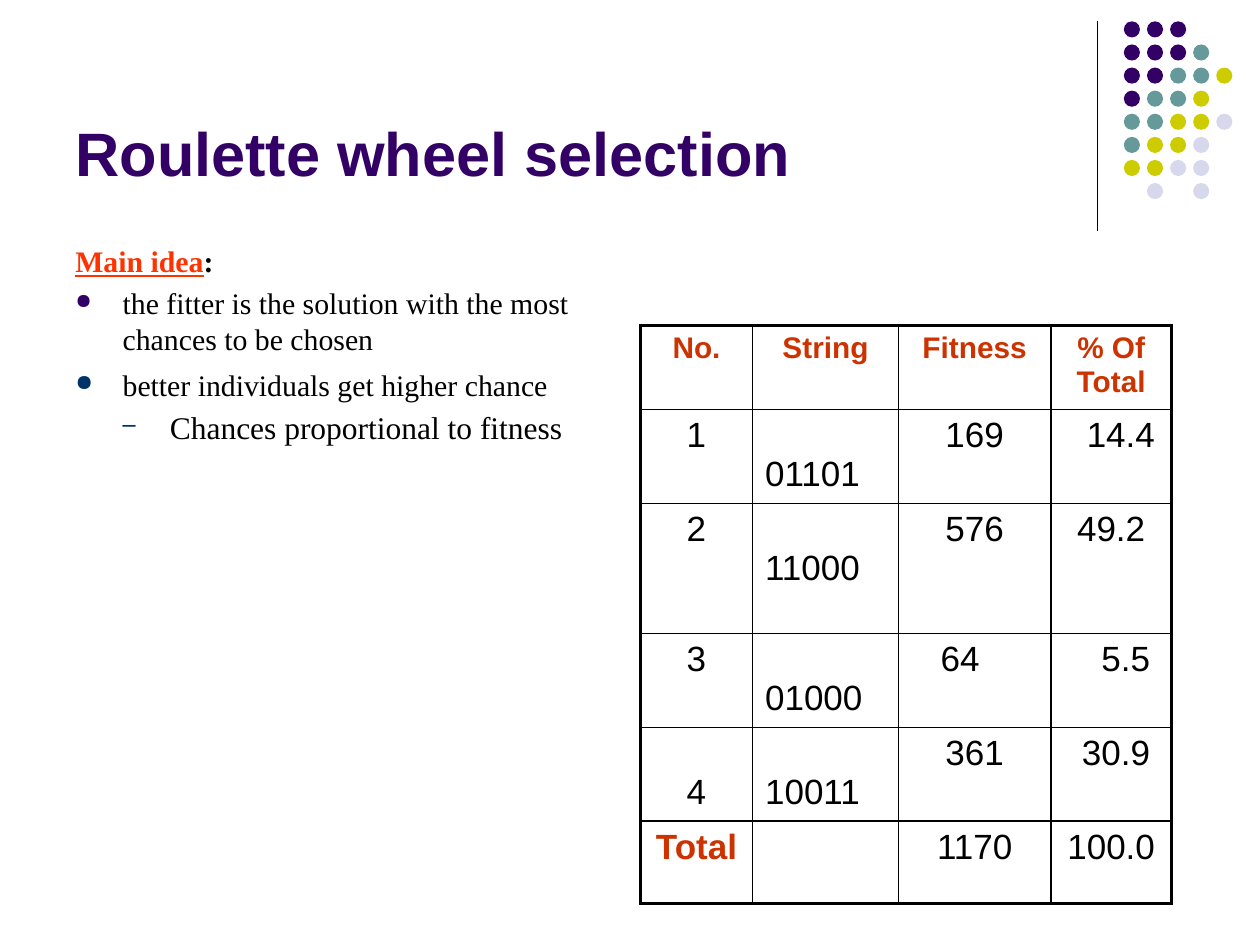
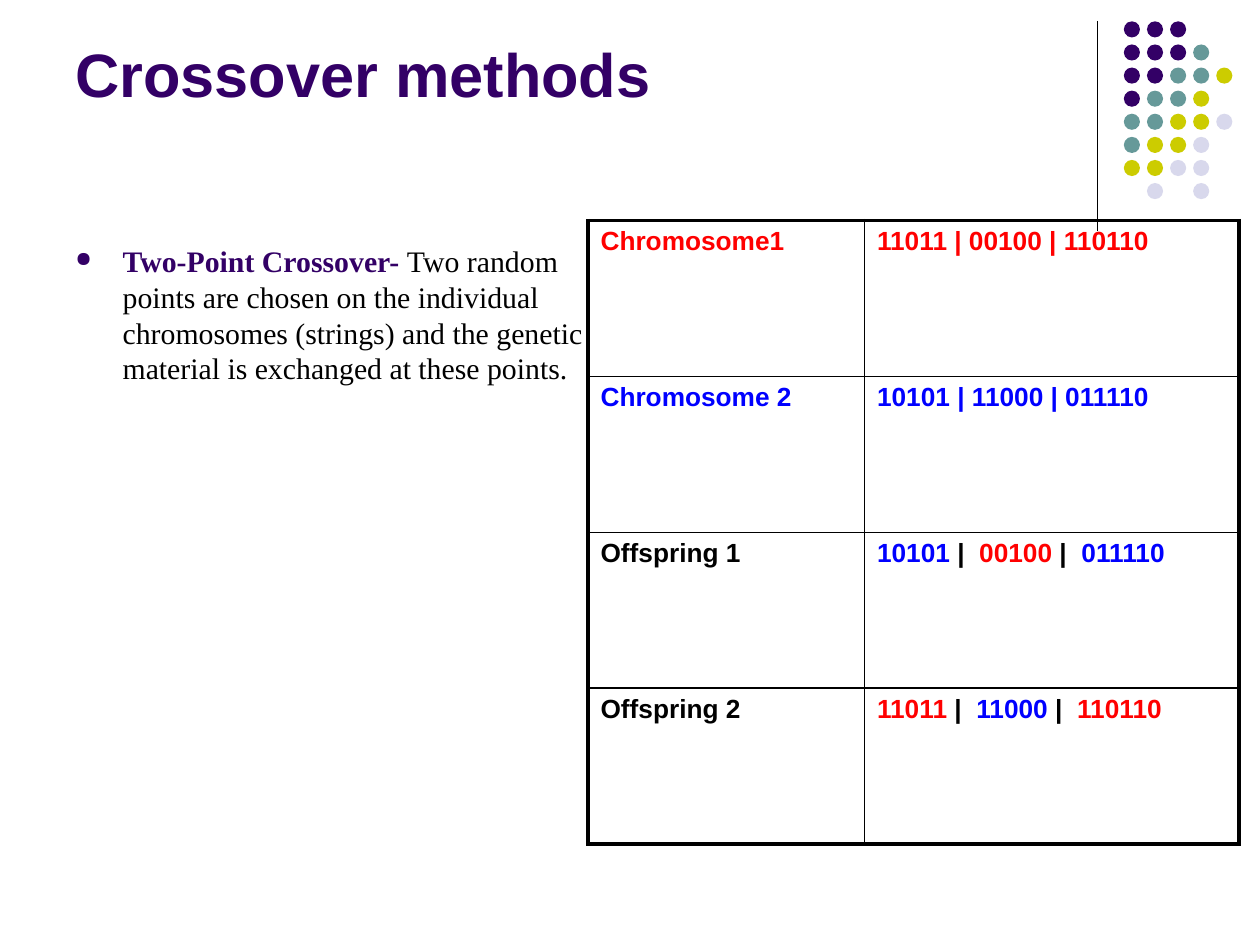
from dataclasses import dataclass

from lxml import etree
from pptx import Presentation
from pptx.dml.color import RGBColor
from pptx.enum.shapes import MSO_CONNECTOR, MSO_SHAPE
from pptx.enum.text import MSO_ANCHOR, PP_ALIGN
from pptx.oxml.ns import qn
from pptx.util import Pt

STRAIGHT = MSO_CONNECTOR.STRAIGHT
OVAL = MSO_SHAPE.OVAL
TOP, BOTTOM = MSO_ANCHOR.TOP, MSO_ANCHOR.BOTTOM
LEFT, CENTER = PP_ALIGN.LEFT, PP_ALIGN.CENTER


@dataclass(frozen=True)
class Theme:
    purple: str = "330066"
    teal: str = "669999"
    lime: str = "CCCC00"
    lilac: str = "D8D8EC"
    navy: str = "003366"
    black: str = "000000"
    orange: str = "FF3300"
    rust: str = "CC3300"
    red: str = "FF0000"
    blue: str = "0000FF"
    sans: str = "Arial"
    serif: str = "Times New Roman"
    title_size: float = 35
    body_size: float = 17
    sub_size: float = 18
    figure_size: float = 20
    gene_size: float = 15
    thin: float = 1
    thick: float = 2.25


THEME = Theme()

DOT_ROWS = ("PPP", "PPPT", "PPTTL", "PTTL", "TTLLV", "TLLV", "LLVV", " V V")
DOT_COLOURS = {"P": THEME.purple, "T": THEME.teal, "L": THEME.lime, "V": THEME.lilac}


@dataclass
class Cell:
    runs: list
    align: object = LEFT
    drop: float = 0
    shift: float = 0


def add_text(paragraph, text, *, size, font=THEME.sans, color=THEME.black,
             bold=False, underline=False, spacing=0):
    run = paragraph.add_run()
    run.text = text
    run.font.size = Pt(size)
    run.font.name = font
    run.font.bold = bold
    run.font.underline = underline
    run.font.color.rgb = RGBColor.from_string(color)
    if spacing:
        run.font._element.set("spc", str(round(spacing * 100)))


class Deck:
    def __init__(self, theme):
        self.theme = theme
        self.prs = Presentation()
        self.prs.slide_width = Pt(720)
        self.prs.slide_height = Pt(540)
        self.slide = None

    def new_slide(self, title, title_height):
        self.slide = self.prs.slides.add_slide(self.prs.slide_layouts[6])
        self.divider()
        self.dots()
        frame = self.text_box(36, 9.4, 594, title_height, BOTTOM)
        add_text(frame.paragraphs[0], title, size=self.theme.title_size,
                 color=self.theme.purple, bold=True)

    def divider(self):
        line = self.slide.shapes.add_connector(
            STRAIGHT, Pt(627), Pt(12), Pt(627), Pt(132))
        line.line.width = Pt(0.75)
        line.line.color.rgb = RGBColor.from_string(self.theme.black)
        etree.SubElement(line._element.spPr, qn("a:effectLst"))

    def dots(self):
        group = self.slide.shapes.add_group_shape()
        pitch, diameter = 13.2, 9.2
        for row, pattern in enumerate(DOT_ROWS):
            for column, code in enumerate(pattern):
                if code not in DOT_COLOURS:
                    continue
                dot = group.shapes.add_shape(
                    OVAL, Pt(642.2 + column * pitch), Pt(12.2 + row * pitch),
                    Pt(diameter), Pt(diameter))
                dot.shadow.inherit = False
                dot.fill.solid()
                dot.fill.fore_color.rgb = RGBColor.from_string(DOT_COLOURS[code])
                dot.line.fill.background()

    def text_box(self, left, top, width, height, anchor=TOP):
        box = self.slide.shapes.add_textbox(Pt(left), Pt(top), Pt(width), Pt(height))
        box.text_frame.word_wrap = True
        box.text_frame.vertical_anchor = anchor
        return box.text_frame

    def body(self):
        return self.text_box(36, 135.4, 318, 347)

    def body_line(self, frame, runs, *, size=THEME.body_size, before=3.4, level=0,
                  bullet=None, bullet_color=THEME.purple, bullet_percent=70):
        first = frame.paragraphs[0]
        paragraph = frame.add_paragraph() if first.runs else first
        paragraph.level = level
        paragraph.space_before = Pt(before)
        paragraph.line_spacing = Pt(size * 1.2)
        properties = paragraph._p.get_or_add_pPr()
        properties.set("marL", str(Pt(27 * (level + 1))))
        properties.set("indent", str(Pt(-27)))
        if bullet:
            color = etree.SubElement(properties, qn("a:buClr"))
            etree.SubElement(color, qn("a:srgbClr"), val=bullet_color)
            etree.SubElement(properties, qn("a:buSzPct"), val=str(bullet_percent * 1000))
            etree.SubElement(properties, qn("a:buChar"), char=bullet)
        else:
            etree.SubElement(properties, qn("a:buNone"))
        for text, style in runs:
            add_text(paragraph, text, size=size, font=self.theme.serif, **style)

    def table(self, left, top, widths, heights, rows):
        table = self.slide.shapes.add_table(
            len(heights), len(widths), Pt(left), Pt(top),
            Pt(sum(widths)), Pt(sum(heights))).table
        table.first_row = table.horz_banding = False
        for column, width in zip(table.columns, widths):
            column.width = Pt(width)
        for row, height in zip(table.rows, heights):
            row.height = Pt(height)
        last_row, last_column = len(heights) - 1, len(widths) - 1
        for r, row in enumerate(rows):
            for c, content in enumerate(row):
                cell = table.cell(r, c)
                outer = {"L": c == 0, "R": c == last_column,
                         "T": r == 0, "B": r == last_row}
                self.borders(cell, outer)
                cell.fill.background()
                self.fill_cell(cell, content)

    def borders(self, cell, outer):
        properties = cell._tc.get_or_add_tcPr()
        for side, is_outer in outer.items():
            width = self.theme.thick if is_outer else self.theme.thin
            line = etree.SubElement(properties, qn(f"a:ln{side}"), w=str(Pt(width)))
            fill = etree.SubElement(line, qn("a:solidFill"))
            etree.SubElement(fill, qn("a:srgbClr"), val=self.theme.black)

    def fill_cell(self, cell, content):
        cell.margin_top = Pt(3.6 + content.drop)
        cell.margin_left = Pt(7.2 + max(content.shift, 0))
        cell.margin_right = Pt(7.2 + max(-content.shift, 0))
        paragraph = cell.text_frame.paragraphs[0]
        paragraph.alignment = content.align
        for text, style in content.runs:
            add_text(paragraph, text, **style)


def heading(text, size=THEME.body_size):
    return Cell([(text, dict(size=size, color=THEME.rust, bold=True))], CENTER)


def figure(text, align=CENTER, drop=0, shift=0):
    return Cell([(text, dict(size=THEME.figure_size))], align, drop, shift)


def gene(text, color):
    return text, dict(size=THEME.gene_size, color=color, bold=True)


def offspring_genes(*segments):
    runs = []
    for text, color in segments:
        if runs:
            space, style = gene(" ", THEME.black)
            runs += [gene(" |", THEME.black), (space, dict(style, spacing=4.17))]
        runs.append(gene(text, color))
    return Cell(runs)


def roulette_slide(deck):
    deck.new_slide("Roulette wheel selection", 102.2)
    body = deck.body()
    deck.body_line(body, [
        ("Main idea", dict(color=THEME.orange, bold=True, underline=True)),
        (":", dict(bold=True))])
    deck.body_line(
        body, [("the fitter is the solution with the most chances to be chosen", {})],
        bullet="●")
    deck.body_line(body, [("better individuals get higher chance", {})], before=6,
                   bullet="●", bullet_color=THEME.navy, bullet_percent=75)
    deck.body_line(body, [("Chances proportional to fitness", {})],
                   size=THEME.sub_size, level=1, bullet="–",
                   bullet_color=THEME.navy, bullet_percent=75)

    second_line = 22.4
    individuals = [
        ("1", "01101", "169", "14.4", 0, 0, 11.1),
        ("2", "11000", "576", "49.2", 0, 0, 0),
        ("3", "01000", "64", "5.5", 0, -16.7, 16.7),
        ("4", "10011", "361", "30.9", second_line, 0, 5.6),
    ]
    rows = [[heading(text) for text in ("No.", "String", "Fitness", "% Of Total")]]
    for number, string, fitness, share, drop, fitness_shift, share_shift in individuals:
        rows.append([
            figure(number, drop=drop),
            figure(string, LEFT, drop=second_line),
            figure(fitness, shift=fitness_shift),
            figure(share, shift=share_shift)])
    rows.append([heading("Total", THEME.figure_size), Cell([]),
                 figure("1170"), figure("100.0")])
    deck.table(366, 186, [64, 83.5, 87, 69], [47, 51.6, 74.3, 51.6, 51.8, 47], rows)


def crossover_slide(deck):
    deck.new_slide("Crossover methods", 56.9)
    deck.body_line(deck.body(), [
        ("Two-Point Crossover- ", dict(color=THEME.purple, bold=True)),
        ("Two random points are chosen on the individual chromosomes (strings) "
         "and the genetic material is exchanged at these points.", {})],
        bullet="●")

    red, blue, black = THEME.red, THEME.blue, THEME.black
    rows = [
        [Cell([gene("Chromosome1", red)]), Cell([gene("11011 | 00100 | 110110", red)])],
        [Cell([gene("Chromosome 2", blue)]), Cell([gene("10101 | 11000 | 011110", blue)])],
        [Cell([gene("Offspring 1", black)]),
         offspring_genes(("10101", blue), ("00100", red), ("011110", blue))],
        [Cell([gene("Offspring 2", black)]),
         offspring_genes(("11011", red), ("11000", blue), ("110110", red))],
    ]
    deck.table(336, 126, [158, 214], [89.1] * 4, rows)


def main():
    deck = Deck(THEME)
    roulette_slide(deck)
    crossover_slide(deck)
    deck.prs.save("out.pptx")


if __name__ == "__main__":
    main()
